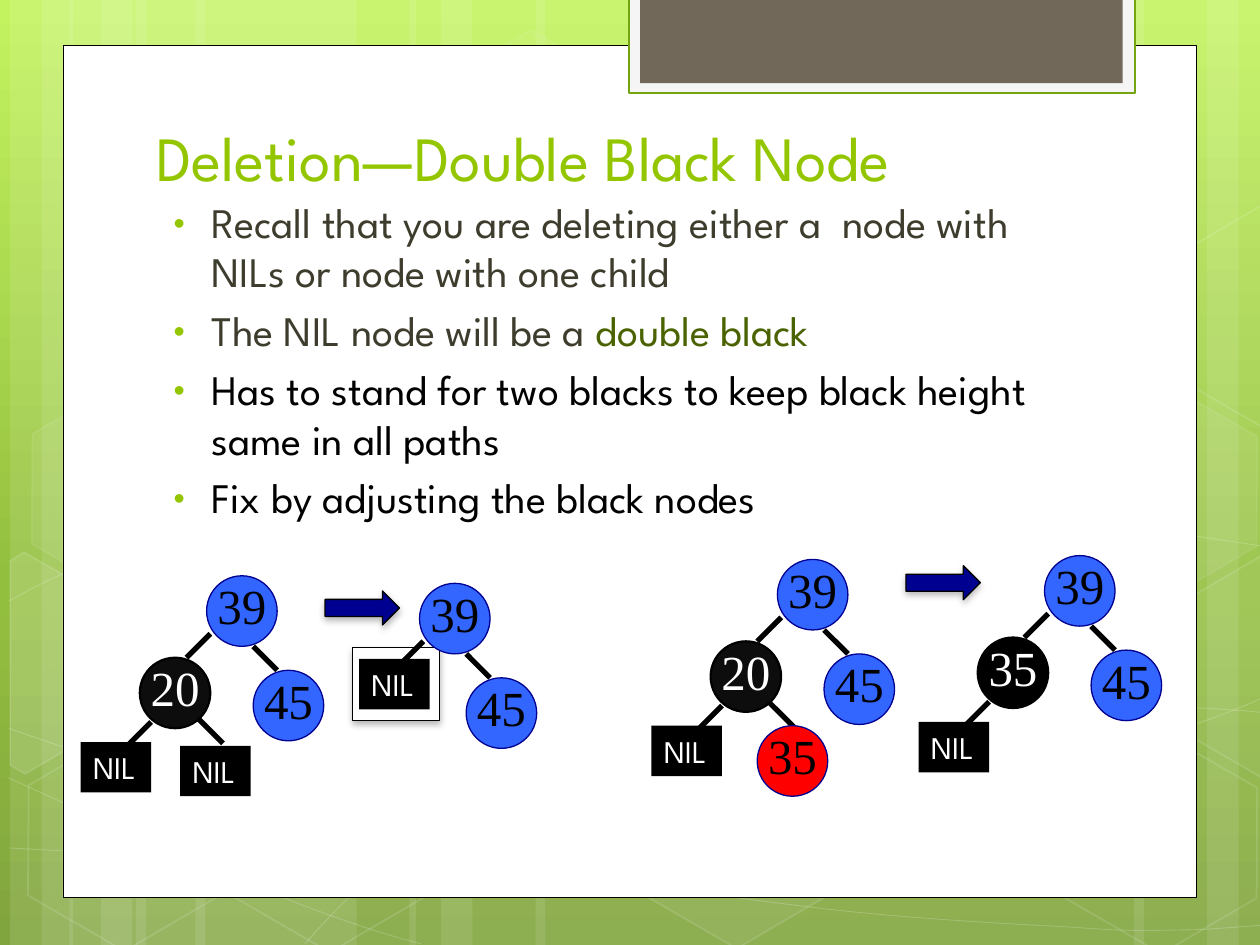
import math
from lxml import etree
from pptx import Presentation, util as u
from pptx.dml.color import RGBColor
from pptx.enum import shapes, text
from pptx.oxml import parse_xml
from pptx.oxml.ns import nsdecls, qn

COLS, ROWS = 10, 7.5
COL = u.Inches(10) // COLS
SANS, SERIF = "League Spartan", "Times New Roman"
BLUE, NAVY, RED, BLACK, WHITE, GREEN = "3366FF", "000090", "FF0000", "000000", "FFFFFF", "94C600"
SHAPE = shapes.MSO_SHAPE
NODE = 0.56

STRIPES = [(1.08, 1.75, 0), (0.08, 0.5, 0), (0.33, 0.83, 0), (1.55, 1.75, 0), (0.55, 0.5, 0),
           (0.8, 0.83, 0), (7.33, 1.75, 180), (9.58, 0.5, 180), (9, 0.83, 180),
           (4.25, 3.08, 0), (3.25, 0.5, 0), (3.5, 0.83, 0)]
WAVES = [
    [(0.07, 6.73), (0.61, 6.76), (1.15, 6.79), (1.9, 6.78), (2.65, 6.77), (3.58, 6.75), (4.58, 6.65),
     (5.58, 6.55), (7, 6.36), (7.92, 6.17), (8.83, 5.98), (9.77, 5.68), (10.07, 5.51)],
    [(0.07, 4.77), (0.36, 4.61), (0.65, 4.46), (1.21, 4.31), (1.78, 4.16), (2.59, 3.94), (3.47, 3.87),
     (4.36, 3.8), (5.44, 3.79), (6.54, 3.87), (7.64, 3.95), (9.47, 4.26), (10.07, 4.34)],
    [(0.06, 6.17), (1.27, 6.72), (2.47, 7.27), (3.34, 7.49)],
    [(0.07, 5.78), (0.38, 5.89), (0.7, 6), (1.28, 6.16), (1.86, 6.31), (2.73, 6.56), (3.57, 6.73),
     (4.4, 6.9), (5.45, 7.08), (6.28, 7.18), (7.11, 7.29), (8, 7.33), (8.53, 7.36),
     (9.05, 7.4), (9.19, 7.38), (9.45, 7.38), (9.71, 7.37), (9.89, 7.35), (10.07, 7.34)],
    [(2.42, 7.49), (2.6, 7.29), (2.78, 7.09), (3.02, 6.91), (3.26, 6.73), (3.6, 6.53), (3.88, 6.39),
     (4.16, 6.25), (4.33, 6.19), (4.7, 6.09), (5.06, 5.99), (5.73, 5.85), (6.08, 5.78),
     (6.44, 5.71), (6.49, 5.71), (6.8, 5.69), (7.11, 5.66), (7.6, 5.63), (7.94, 5.62),
     (8.29, 5.61), (8.86, 5.62), (8.86, 5.62), (9.08, 5.62), (9.31, 5.62), (9.53, 5.62),
     (9.71, 5.63), (9.88, 5.64), (9.97, 5.65), (10.06, 5.66), (10.03, 5.65), (10.06, 5.66)],
]
HEXAGONS = [(3.34, 0.36, 4, 8), (4.97, 5.89, 6, 12), (0.11, 5.91, 0, 12), (0.14, 3.12, 7, 8),
            (1.74, 5.92, 0, 12), (7.53, 4.53, 10, 12), (8.34, 5.93, 0, 12), (8.34, 3.14, 7, 8)]
CUT_HEXAGONS = [
    ([(0.08, 4.45), (0.19, 4.38), (0.96, 4.82), (0.95, 5.7), (0.2, 6.14), (0.08, 6.07)],
     (0.36, 5.35), 10),
    ([(9.26, 4.85), (10.01, 4.41), (10.09, 4.46), (10.09, 6.13), (10.02, 6.17), (9.26, 5.73)],
     (9.85, 5.2), 4),
    ([(9.26, 2.07), (10.01, 1.63), (10.1, 1.68), (10.09, 3.35), (10.02, 3.39), (9.26, 2.95)],
     (9.85, 2.41), 0),
]
BULLETS = [
    [("Recall that you are deleting either a  node with NILs or node with one child", "3E3D2D")],
    [("The NIL node will be a ", "3E3D2D"), ("double black", "4A6300")],
    [("Has to stand for two blacks to keep black height same in all paths", BLACK)],
    [("Fix by adjusting the black nodes", BLACK)],
]


def grid(*cells):
    """Turn column or row counts into slide lengths."""
    return [round(c * COL) for c in cells]


def paint(sp, fill=None, line=None, width=0.75, fill_alpha=100, line_alpha=100):
    """Set fill, outline and their opacity."""
    sp.shadow.inherit = False
    for part, color, alpha in ((sp.fill, fill, fill_alpha), (sp.line.fill, line, line_alpha)):
        if not color or not alpha:
            part.background()
            continue
        part.solid()
        part.fore_color.rgb = RGBColor.from_string(color)
        if alpha < 100:
            holder = sp._element.spPr if part is sp.fill else sp.line._ln
            clr = holder.find(qn("a:solidFill"))[0]
            etree.SubElement(clr, qn("a:alpha")).set("val", str(alpha * 1000))
    if line:
        sp.line.width = u.Pt(width)
    return sp


def block(s, kind, at, **look):
    """Add a painted preset shape."""
    return paint(s.shapes.add_shape(kind, *grid(*at)), **look)


def outline(s, points, closed, **look):
    """Add a painted free outline through points."""
    pts = [grid(*pt) for pt in points]
    fb = s.shapes.build_freeform(*pts[0], scale=1.0)
    fb.add_line_segments(pts[1:], close=closed)
    return paint(fb.convert_to_shape(), **look)


def wave(s, points):
    """Add a faint chain of cubic curves."""
    sp = outline(s, points, False, line=WHITE, width=0.5, line_alpha=20)
    steps = list(sp._element.iter(qn("a:lnTo")))
    for i in range(0, len(steps), 3):
        curve = etree.SubElement(steps[i].getparent(), qn("a:cubicBezTo"))
        for step in steps[i:i + 3]:
            curve.append(step[0])
            step.getparent().remove(step)


def turn(point, center, degrees):
    """Rotate a point about a center."""
    dx, dy = point[0] - center[0], point[1] - center[1]
    cos, sin = math.cos(math.radians(degrees)), math.sin(math.radians(degrees))
    return center[0] + dx * cos - dy * sin, center[1] + dx * sin + dy * cos


def cast_shadow(sp):
    """Give a shape a soft shadow below it."""
    sp._element.spPr.find(qn("a:effectLst")).append(parse_xml(
        f'<a:outerShdw {nsdecls("a")} blurRad="50800" dist="25400" dir="5400000" rotWithShape="0">'
        '<a:srgbClr val="000000"><a:alpha val="28000"/></a:srgbClr></a:outerShdw>'))


def write(p, content, size, color, font=SANS):
    """Add one formatted run."""
    r = p.add_run()
    r.text = content
    for name, value in {"size": u.Pt(size), "name": font}.items():
        setattr(r.font, name, value)
    r.font.color.rgb = RGBColor.from_string(color)


def textbox(s, at, **frame):
    """Add a wrapping text box and return its frame."""
    tf = s.shapes.add_textbox(*grid(*at)).text_frame
    for name, value in {"word_wrap": True, **frame}.items():
        setattr(tf, name, value)
    return tf


def bullet(p):
    """Give a paragraph a green hanging bullet."""
    p.line_spacing, p.space_before = 0.98, u.Pt(5.4)
    pPr = p._p.get_or_add_pPr()
    for name, value in zip(("marL", "indent"), grid(0.38, -0.3)):
        pPr.set(name, str(value))
    for tag, inner in (("buClr", f'<a:srgbClr val="{GREEN}"/>'), ('buSzPct val="76000"', ""),
                       ('buFont typeface="Arial"', ""), ('buChar char="•"', "")):
        pPr.append(parse_xml(f'<a:{tag} {nsdecls("a")}>{inner}</a:{tag.split()[0]}>'))


def node(s, x, y, key, fill=BLUE):
    """Add a round tree node with its key."""
    dark = fill not in (BLUE, RED)
    block(s, SHAPE.OVAL, (x, y, NODE, NODE), fill=fill,
          line=BLACK if dark else NAVY, width=1.25 if dark else 0.75)
    margins = {f"margin_{side}": 0 for side in ("left", "top", "right", "bottom")}
    p = textbox(s, (x, y, NODE, 0.38), **margins).paragraphs[0]
    p.alignment = text.PP_ALIGN.CENTER
    write(p, key, 28, WHITE if dark else BLACK, SERIF)


def nil(s, x, y):
    """Add a square NIL leaf."""
    tf = block(s, SHAPE.RECTANGLE, (x, y, NODE, 0.4), fill=BLACK).text_frame
    tf.word_wrap = False
    tf.paragraphs[0].alignment = text.PP_ALIGN.LEFT
    write(tf.paragraphs[0], "NIL", 18, WHITE)


def edge(s, x, y, side):
    """Add the edge from a node at x, y to a child."""
    start, run, top = (0.03, -0.19, 0.46) if side == "left" else (0.37, 0.19, 0.56)
    ends = grid(x + start, y + top, x + start + run, y + top + 0.19)
    cx = s.shapes.add_connector(shapes.MSO_CONNECTOR.STRAIGHT, *ends)
    cx.line.width = u.Pt(3)
    cx.line.color.rgb = RGBColor.from_string(BLACK)
    etree.SubElement(cx._element.spPr, qn("a:effectLst"))


def tree(s, x, y, left=None, left_fill=BLACK, leaf=None):
    """Add a tree with root 39, right child 45 and an optional left branch."""
    lx, ly = x - 0.53, y + 0.65
    node(s, x, y, "39")
    node(s, x + 0.37, y + 0.75, "45")
    if left:
        node(s, lx, ly, left, left_fill)
    for side in ("left", "right"):
        edge(s, x, y, side)
    if not left:
        nil(s, x - 0.48, y + 0.6)
        return
    edge(s, lx + 0.06, ly + 0.05, "left")
    nil(s, lx - 0.47, ly + 0.67)
    if leaf:
        edge(s, lx + 0.1, ly - 0.07, "right")
    if leaf == "NIL":
        nil(s, lx + 0.32, ly + 0.7)
    elif leaf:
        node(s, lx + 0.37, ly + 0.67, leaf, RED)


def backdrop(s):
    """Add the green background, its pattern and the white panel."""
    fill = s.background.fill
    fill.gradient()
    fill.gradient_angle = 270
    s._element.find(".//" + qn("a:gsLst"))[:] = [
        parse_xml(f'<a:gs {nsdecls("a")} pos="{pos}000"><a:srgbClr val="{c}"/></a:gs>')
        for pos, c in ((0, "C3F35F"), (62, "93BF3F"), (100, "81A53E"))]
    for x, w, angle in STRIPES:
        block(s, SHAPE.RECTANGLE, (x, 0, w, ROWS), fill=WHITE, fill_alpha=10).rotation = angle
    for points in WAVES:
        wave(s, points)
    for x, y, fa, la in HEXAGONS:
        sp = block(s, SHAPE.HEXAGON, (x, y, 1.75, 1.52), fill=WHITE, line=WHITE, width=1,
                   fill_alpha=fa, line_alpha=la)
        sp.rotation, sp.adjustments[0] = 30, 0.285
    for points, center, fa in CUT_HEXAGONS:
        outline(s, [turn(pt, center, -30) for pt in points], True, fill=WHITE, line=WHITE, width=1,
                fill_alpha=fa, line_alpha=12).rotation = 30
    block(s, SHAPE.RECTANGLE, (0.5, 0.36, 9, 6.76), fill=WHITE, line=BLACK, width=0.5)
    block(s, SHAPE.RECTANGLE, (4.99, -0.02, 4.02, 0.76), fill="F5F5F5", line="74A510", width=1.25)
    block(s, SHAPE.RECTANGLE, (5.08, -0.02, 3.83, 0.68), fill="71685A")


def main():
    """Build and save the slide."""
    prs = Presentation()
    prs.slide_width, prs.slide_height = grid(COLS, ROWS)
    s = prs.slides.add_slide(prs.slide_layouts[6])
    backdrop(s)
    tf = textbox(s, (1.14, 0.34, 7.68, 1.25), vertical_anchor=text.MSO_ANCHOR.BOTTOM)
    write(tf.paragraphs[0], "Deletion—Double Black Node", 36, GREEN)
    tf = textbox(s, (1.2, 1.53, 7.41, 3.84))
    for i, runs in enumerate(BULLETS):
        p = tf.add_paragraph() if i else tf.paragraphs[0]
        bullet(p)
        for content, color in runs:
            write(p, content, 24, color)
    tree(s, 1.64, 4.57, "20", "0D0D0D", "NIL")
    cast_shadow(block(s, SHAPE.RECTANGLE, (2.8, 5.14, 0.69, 0.58), fill=WHITE, line=BLACK))
    tree(s, 3.33, 4.63)
    tree(s, 6.17, 4.44, "20", "0D0D0D", "35")
    tree(s, 8.29, 4.41, "35")
    for x, y in ((2.58, 4.69), (7.19, 4.49)):
        cast_shadow(block(s, SHAPE.RIGHT_ARROW, (x, y, 0.59, 0.27), fill=NAVY, line=BLACK))
    prs.save("out.pptx")


main()
